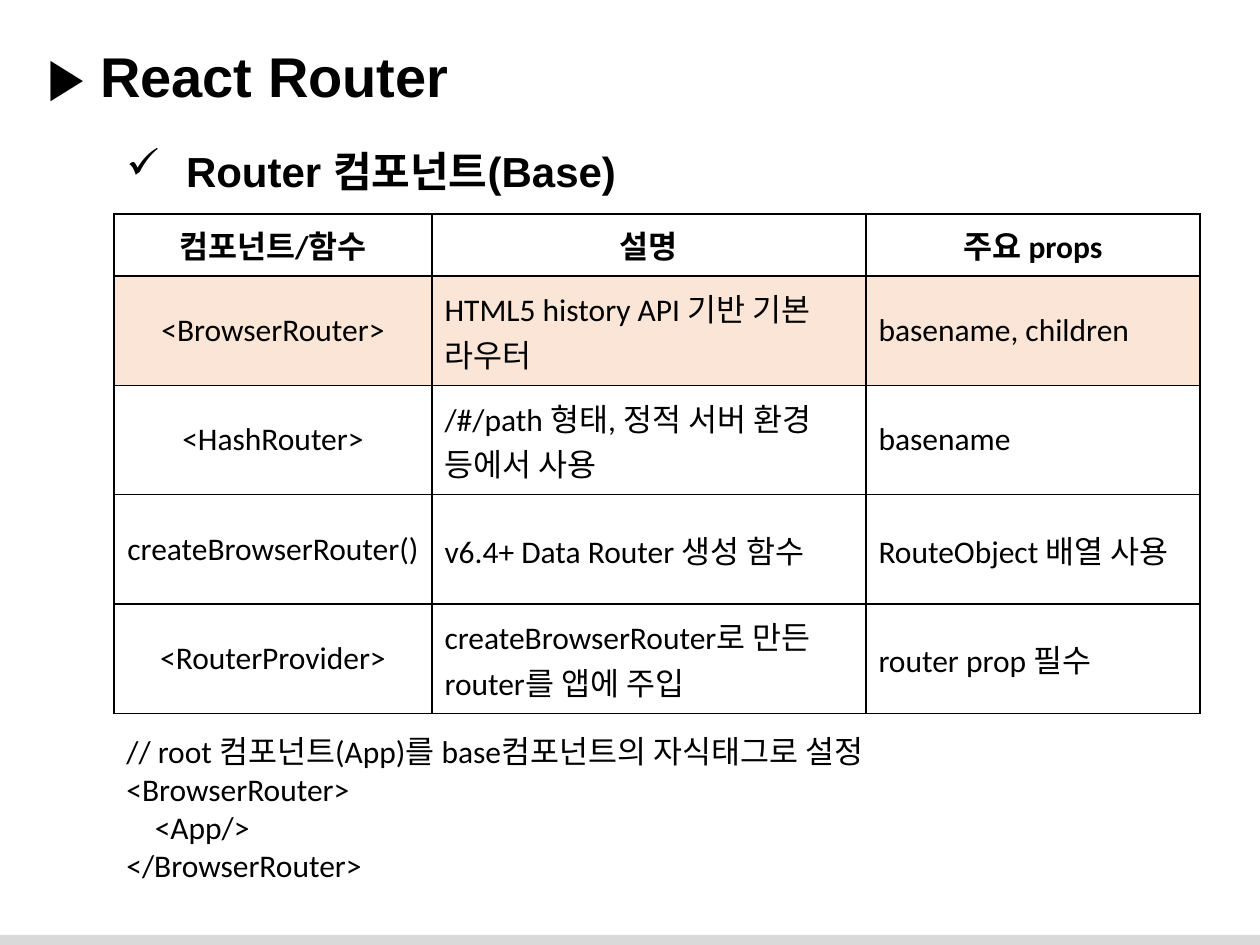
from lxml import etree
from pptx import Presentation, util as u
from pptx.dml.color import RGBColor
from pptx.enum import shapes, text
from pptx.oxml.ns import qn

PX = 914400 / 126  # EMU per px
BLACK, GREY, PEACH = "000000", "D9D9D9", "FBE5D6"


def px(*lengths):
    return [u.Emu(round(n * PX)) for n in lengths]


def style(paragraphs, size, font, bold=False):
    for paragraph in paragraphs:
        for run in paragraph.runs:
            run.font.size, run.font.name, run.font.bold = u.Pt(size), font, bold
            run.font.color.rgb = RGBColor.from_string(BLACK)


prs = Presentation()
prs.slide_width, prs.slide_height = px(1260, 945)
slide = prs.slides.add_slide(prs.slide_layouts[6])

footer = slide.shapes.add_shape(shapes.MSO_SHAPE.RECTANGLE, *px(-3, 935, 1265, 14))
footer.shadow.inherit = False
footer.fill.solid()
footer.fill.fore_color.rgb = RGBColor.from_string(GREY)
footer.line.fill.background()

# Title, subtitle and code sample
code = """// root 컴포넌트(App)를 base컴포넌트의 자식태그로 설정
<BrowserRouter>
    <App/>
</BrowserRouter>"""
frames = []
for box, words, size, font, bold in [
    ((35, 35, 1191, 81), "▶ React Router", 32, "Arial", True),
    ((114, 139, 906, 63), " Router 컴포넌트(Base)", 24, "Arial", True),
    ((114, 726, 1086, 165), code, 18, "Calibri", False),
]:
    frame = slide.shapes.add_textbox(*px(*box)).text_frame
    frame.word_wrap = True
    frame.text = words
    style(frame.paragraphs, size, font, bold)
    frames.append(frame)

indent = px(48)[0]
subtitle_props = frames[1].paragraphs[0]._p.get_or_add_pPr()
subtitle_props.set("marL", str(indent))
subtitle_props.set("indent", str(-indent))
etree.SubElement(subtitle_props, qn("a:buChar"), char="✓")

# Router components
rows = [
    ("컴포넌트/함수", "설명", "주요 props"),
    ("<BrowserRouter>", "HTML5 history API 기반 기본 라우터", "basename, children"),
    ("<HashRouter>", "/#/path 형태, 정적 서버 환경 등에서 사용", "basename"),
    ("createBrowserRouter()", "v6.4+ Data Router 생성 함수", "RouteObject 배열 사용"),
    ("<RouterProvider>", "createBrowserRouter로 만든\nrouter를 앱에 주입", "router prop 필수"),
]
widths = px(318, 434, 334)
heights = px(62, *[109.4] * 4)
routers = slide.shapes.add_table(
    len(rows), len(widths), *px(114, 214), sum(widths), sum(heights)).table
routers.first_row = routers.horz_banding = False
for column, width in zip(routers.columns, widths):
    column.width = width
for row, height in zip(routers.rows, heights):
    row.height = height

for r, row in enumerate(rows):
    for c, words in enumerate(row):
        cell = routers.cell(r, c)
        cell.text_frame.text = words
        cell.vertical_anchor = text.MSO_ANCHOR.MIDDLE
        centred = r == 0 or c == 0
        for paragraph in cell.text_frame.paragraphs:
            paragraph.alignment = text.PP_ALIGN.CENTER if centred else text.PP_ALIGN.LEFT
        style(cell.text_frame.paragraphs, 18, "Calibri", r == 0)
        for side in ("lnL", "lnR", "lnT", "lnB"):
            border = etree.SubElement(
                cell._tc.get_or_add_tcPr(), qn(f"a:{side}"), w=str(u.Pt(1)))
            line_fill = etree.SubElement(border, qn("a:solidFill"))
            etree.SubElement(line_fill, qn("a:srgbClr"), val=BLACK)
        if r == 1:
            cell.fill.solid()
            cell.fill.fore_color.rgb = RGBColor.from_string(PEACH)
        else:
            cell.fill.background()

prs.save("out.pptx")
